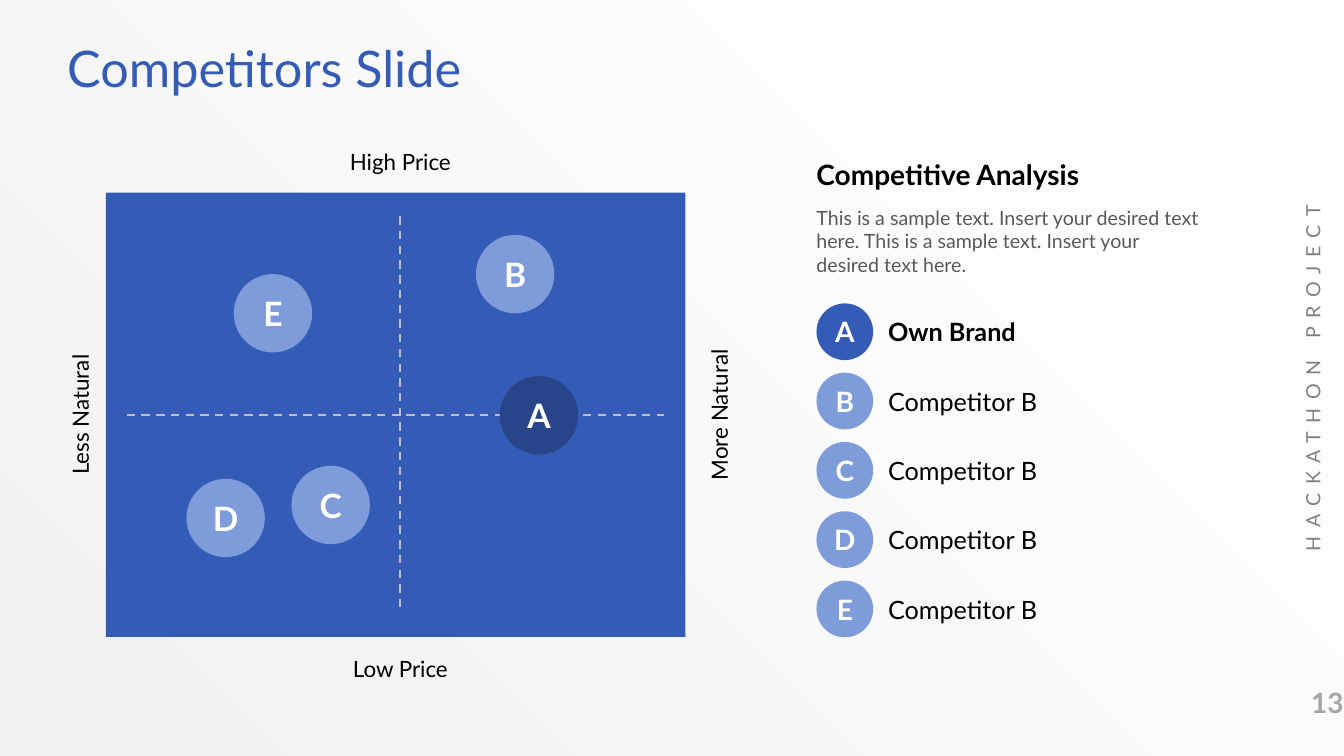
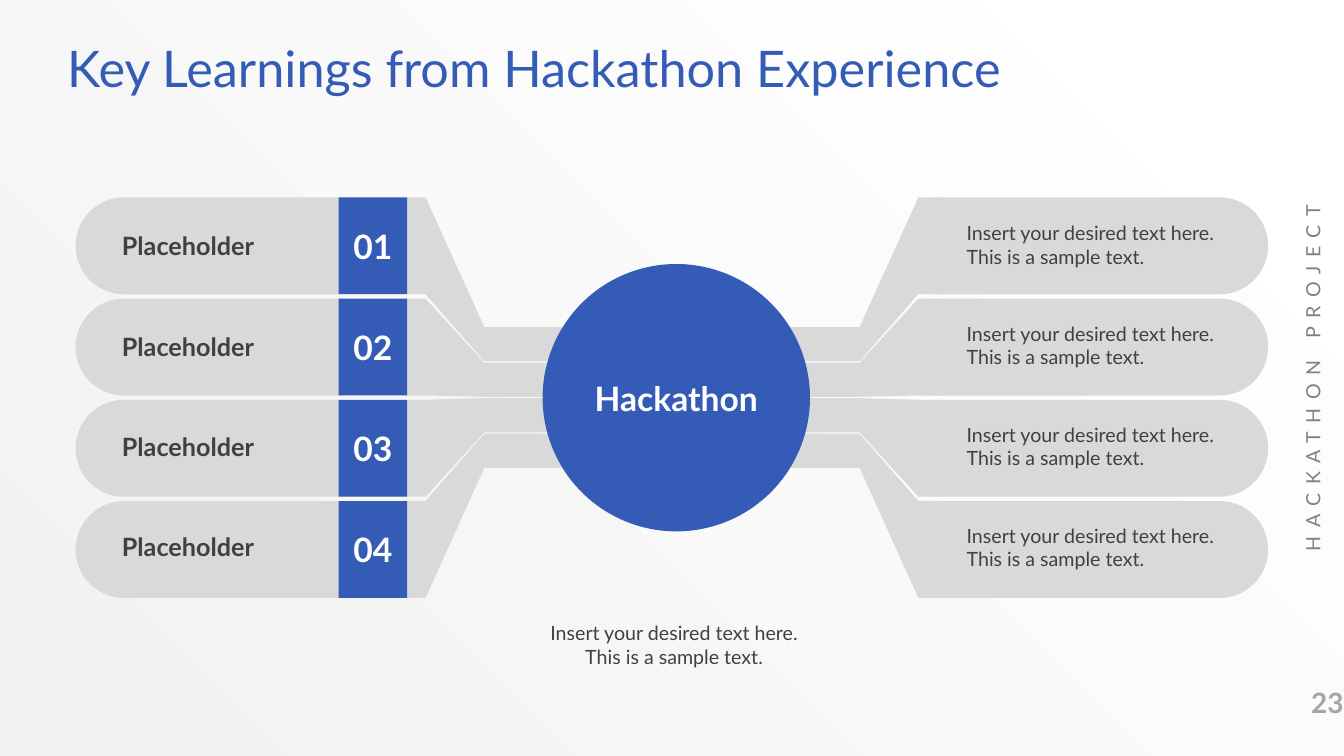
from lxml.etree import SubElement
from pptx import Presentation
from pptx.dml.color import RGBColor
from pptx.enum.dml import MSO_LINE
from pptx.enum.shapes import MSO_CONNECTOR, MSO_SHAPE
from pptx.enum.text import MSO_ANCHOR, MSO_AUTO_SIZE, PP_ALIGN
from pptx.oxml.ns import qn
from pptx.util import Pt

COLORS = {
    "blue": "345CB6", "navy": "274588", "sky": "7E9BDA",
    "white": "FFFFFF", "mist": "F2F2F2", "silver": "D9D9D9",
    "dash": "BFBFBF", "number": "A6A6A6", "side": "808080",
    "body": "595959", "dark": "404040", "black": "000000",
}
RGB = {name: RGBColor.from_string(value) for name, value in COLORS.items()}
PAGE_WIDTH, PAGE_HEIGHT = 960, 540
SAMPLE = "Insert your desired text here. This is a sample text."


def add_part(page, left, top, width, height, kind=None, fill=None):
    """Add a plain filled shape, or a text box when no kind is given."""
    place = [Pt(value) for value in (left, top, width, height)]
    if kind is None:
        return page.shapes.add_textbox(*place)
    part = page.shapes.add_shape(kind, *place)
    part.shadow.inherit = False
    part.fill.solid()
    part.fill.fore_color.rgb = RGB[fill]
    part.line.fill.background()
    return part


def write(part, text, size, color, bold=False, align=PP_ALIGN.LEFT,
          anchor=MSO_ANCHOR.MIDDLE, margin=0):
    """Set the text of a part and return its run."""
    frame = part.text_frame
    layout = {"word_wrap": True, "auto_size": MSO_AUTO_SIZE.NONE,
              "vertical_anchor": anchor, "margin_left": 0, "margin_right": 0,
              "margin_top": Pt(margin), "margin_bottom": Pt(margin)}
    for name, value in layout.items():
        setattr(frame, name, value)
    para = frame.paragraphs[0]
    para.alignment = align
    span = para.add_run()
    span.text = text
    for name, value in {"name": "Lato", "size": Pt(size), "bold": bold}.items():
        setattr(span.font, name, value)
    span.font.color.rgb = RGB[color]
    return span


deck = Presentation()
deck.slide_width, deck.slide_height = Pt(PAGE_WIDTH), Pt(PAGE_HEIGHT)

# Shared background
backdrop = deck.slide_master.background.fill
backdrop.gradient()
backdrop.gradient_angle = 225
for stop, color, position in zip(backdrop.gradient_stops, ("white", "mist"), (0.04, 1)):
    stop.color.rgb = RGB[color]
    stop.position = position

# Shared title, side label and page number
pages = []
for heading, number in (("Competitors Slide", "13"),
                        ("Key Learnings from Hackathon Experience", "23")):
    page = deck.slides.add_slide(deck.slide_layouts[5])
    title = page.shapes.title
    for name, value in {"left": 48, "top": 21.6, "width": 864, "height": 56}.items():
        setattr(title, name, Pt(value))
    write(title, heading, 36, "blue", anchor=MSO_ANCHOR.TOP, margin=5)

    side_label = add_part(page, 785.5, 255.6, 304, 28.8)
    side_label.rotation = 270
    span = write(side_label, "HACKATHON PROJECT", 14, "side", align=PP_ALIGN.CENTER)
    span._r.get_or_add_rPr().set("spc", "600")
    write(add_part(page, 868.3, 473.8, 91.5, 55.4), number, 20, "number",
          bold=True, align=PP_ALIGN.RIGHT)
    pages.append(page)
competitors, learnings = pages

# Competitors: map with dashed axes
add_part(competitors, 75.6, 137.5, 414, 317.5, MSO_SHAPE.RECTANGLE, "blue")
for ends in ((286, 154.5, 286, 437.5), (90.5, 296.6, 474.5, 296.6)):
    axis = competitors.shapes.add_connector(MSO_CONNECTOR.STRAIGHT, *map(Pt, ends))
    axis.line.color.rgb = RGB["dash"]
    axis.line.width = Pt(1.5)
    axis.line.dash_style = MSO_LINE.DASH
    SubElement(axis._element.spPr, qn("a:effectLst"))

# Competitors: axis names, placed by their centres
for name, center_x, center_y, turn in (
        ("High Price", 286, 115.6, 0), ("Low Price", 286, 477.6, 0),
        ("More Natural", 513.5, 296.2, 270), ("Less Natural", 57, 296.2, 270)):
    axis_name = add_part(competitors, center_x - 82, center_y - 13.5, 164, 27)
    axis_name.rotation = turn
    write(axis_name, name, 16, "black", align=PP_ALIGN.CENTER)

# Competitors: bubbles on the map
for letter, left, top, fill in (
        ("A", 357, 268.6, "navy"), ("B", 340, 167.8, "sky"), ("C", 208.2, 332.7, "sky"),
        ("D", 133.2, 342, "sky"), ("E", 167, 195.8, "sky")):
    bubble = add_part(competitors, left, top, 56, 56, MSO_SHAPE.OVAL, fill)
    write(bubble, letter, 24, "white", bold=True, align=PP_ALIGN.CENTER)

# Competitors: analysis text and legend
write(add_part(competitors, 583.2, 110.9, 275, 26.6), "Competitive Analysis",
      20, "black", bold=True)
write(add_part(competitors, 583.2, 146.9, 275.8, 61.2),
      "This is a sample text. Insert your desired text here. "
      "This is a sample text. Insert your desired text here.",
      14, "body", anchor=MSO_ANCHOR.TOP)
for row, letter in enumerate("ABCDE"):
    own = row == 0
    top = 216.7 + 49.5 * row
    badge = add_part(competitors, 583.2, top, 40.5, 40.5, MSO_SHAPE.OVAL,
                     "blue" if own else "sky")
    write(badge, letter, 20, "white", bold=True, align=PP_ALIGN.CENTER)
    write(add_part(competitors, 634.3, top, 217.5, 40.5),
          "Own Brand" if own else "Competitor B", 18, "black", bold=own)

# Learnings: four rows that run into the centre
ROW_HEIGHT = 69.2
for row in range(4):
    top = 141 + 72.3 * row
    bottom = top + ROW_HEIGHT
    inner_top = 233.6 + 25.4 * row
    inner_bottom = inner_top + 24.4

    # Arms, mirrored about the middle of the page
    outline = ((289, top), (304, top), (346, inner_top), (425, inner_top),
               (425, inner_bottom), (346, inner_bottom), (304, bottom), (289, bottom))
    for mirrored in (False, True):
        points = [(Pt(PAGE_WIDTH - x if mirrored else x), Pt(y)) for x, y in outline]
        builder = learnings.shapes.build_freeform(*points[0])
        builder.add_line_segments(points[1:], close=True)
        arm = builder.convert_to_shape()
        arm.shadow.inherit = False
        arm.fill.solid()
        arm.fill.fore_color.rgb = RGB["silver"]
        arm.line.fill.background()

    # Pills, turned so that the round end points outwards
    for left, length, turn in ((54, 190, 270), (667.4, 238.4, 90)):
        pill = add_part(learnings, left + (length - ROW_HEIGHT) / 2,
                        top + (ROW_HEIGHT - length) / 2, ROW_HEIGHT, length,
                        MSO_SHAPE.ROUND_2_SAME_RECTANGLE, "silver")
        pill.adjustments[0] = 0.5
        pill.rotation = turn

    band = add_part(learnings, 242, top, 48.8, ROW_HEIGHT, MSO_SHAPE.RECTANGLE, "blue")
    write(band, f"{row + 1:02}", 24, "white", bold=True, align=PP_ALIGN.CENTER)
    write(add_part(learnings, 87.1, 162.6 + 71.6 * row, 137.5, 26), "Placeholder",
          18, "dark", bold=True)
    write(add_part(learnings, 690.5, 154.2 + 72 * row, 187.2, 41), SAMPLE, 14, "dark")

# Learnings: centre and caption
hub = add_part(learnings, 387.6, 188.6, 191, 191, MSO_SHAPE.OVAL, "blue")
write(hub, "Hackathon", 24, "white", bold=True, align=PP_ALIGN.CENTER)
write(add_part(learnings, 388, 440, 187.2, 41), SAMPLE, 14, "dark", align=PP_ALIGN.CENTER)

deck.save("out.pptx")
